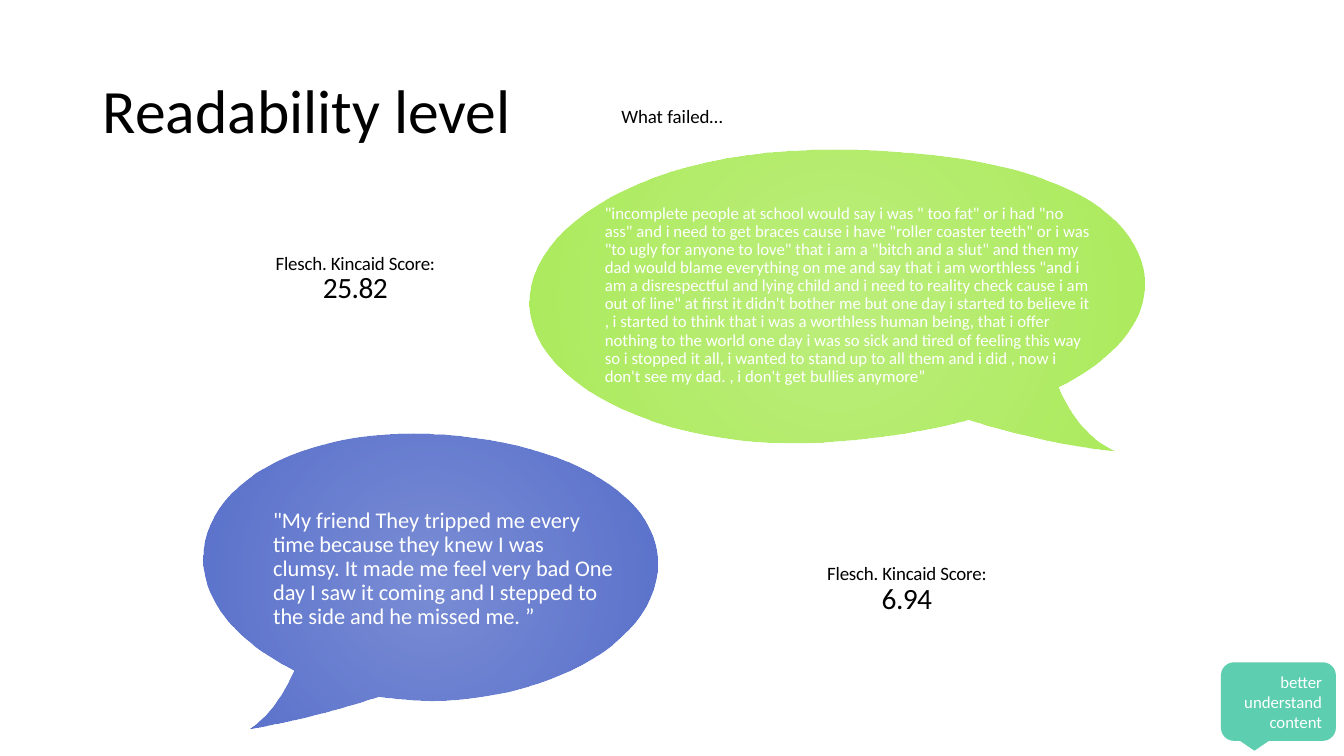
from dataclasses import dataclass

from lxml import etree
from pptx import Presentation
from pptx.dml.color import RGBColor
from pptx.enum.shapes import MSO_SHAPE
from pptx.enum.text import MSO_ANCHOR, PP_ALIGN
from pptx.oxml import parse_xml
from pptx.oxml.ns import nsdecls
from pptx.util import Pt

PX = 9144  # 100 px to the inch
CURVE_STEPS = 24
FONT = "Calibri"
BLACK = RGBColor(0x00, 0x00, 0x00)
WHITE = RGBColor(0xFF, 0xFF, 0xFF)
BLUE = RGBColor(0x4E, 0x67, 0xC8)
GREEN = RGBColor(0xA7, 0xEA, 0x52)
TEAL = RGBColor(0x5D, 0xCE, 0xAF)
LEFT, CENTER, RIGHT = PP_ALIGN.LEFT, PP_ALIGN.CENTER, PP_ALIGN.RIGHT
TOP, MIDDLE, BOTTOM = MSO_ANCHOR.TOP, MSO_ANCHOR.MIDDLE, MSO_ANCHOR.BOTTOM
CALLOUT = MSO_SHAPE.ROUNDED_RECTANGULAR_CALLOUT

Point = tuple[float, float]
Box = tuple[int, int, int, int]


@dataclass(frozen=True)
class Line:
    text: str
    size: float
    tracking: int = 0  # hundredths of a point


@dataclass(frozen=True)
class Label:
    box: Box
    lines: tuple[Line, ...]
    color: RGBColor = BLACK
    align: PP_ALIGN = LEFT
    anchor: MSO_ANCHOR = TOP
    spacing: float = 0.9
    inset: bool = True


@dataclass(frozen=True)
class Bubble:
    """A speech bubble outlined by cubic curves: two handles and an end each."""
    start: Point
    curves: tuple[tuple[Point, Point, Point], ...]
    color: RGBColor
    quote: Label


def score(left: int, top: int, value: str) -> Label:
    lines = (Line("Flesch. Kincaid Score:", 13.5, -10), Line(value, 21, -40))
    return Label((left, top, 285, 69), lines, align=CENTER, anchor=MIDDLE,
                 spacing=0.86, inset=False)


HEADINGS = (
    Label((92, 40, 1150, 145), (Line("Readability level", 44),), anchor=MIDDLE),
    Label((100, 102, 1133, 44), (Line("What failed…", 13.5),), align=CENTER, spacing=0.86),
)
SCORES = (score(210, 243, "25.82"), score(757, 551, "6.94"))

BUBBLES = (
    Bubble(
        (292, 665),
        (
            ((238, 638), (202, 598), (202, 555)),
            ((200, 482), (296, 425), (426, 430)),
            ((549, 435), (651, 485), (652, 558)),
            ((653, 631), (554, 692), (431, 695)),
            ((412, 695), (394, 693), (375, 691)),
            ((345, 701), (296, 715), (248, 723)),
            ((268, 709), (282, 687), (292, 665)),
        ),
        BLUE,
        Label((261, 500, 358, 131), (Line(
            '"My friend They tripped me every time because they knew I was clumsy. '
            "It made me feel very bad One day I saw it coming and I stepped to the "
            "side and he missed me. ”", 16),), WHITE),
    ),
    Bubble(
        (1049, 384),
        (
            ((1114, 351), (1142, 308), (1133, 266)),
            ((1117, 199), (1024, 150), (826, 148)),
            ((642, 147), (522, 224), (525, 303)),
            ((528, 384), (669, 453), (837, 437)),
            ((883, 433), (924, 426), (960, 416)),
            ((1005, 430), (1063, 444), (1105, 447)),
            ((1076, 434), (1059, 407), (1049, 384)),
        ),
        GREEN,
        Label((590, 198, 504, 192), (Line(
            '"incomplete people at school would say i was " too fat" or i had "no ass" '
            'and i need to get braces cause i have "roller coaster teeth" or i was "to '
            'ugly for anyone to love" that i am a "bitch and a slut" and then my dad '
            'would blame everything on me and say that i am worthless "and i am a '
            "disrespectful and lying child and i need to reality check cause i am out "
            "of line\" at first it didn't bother me but one day i started to believe "
            "it , i started to think that i was a worthless human being, that i offer "
            "nothing to the world one day i was so sick and tired of feeling this way "
            "so i stopped it all, i wanted to stand up to all them and i did , now i "
            "don't see my dad. , i don't get bullies anymore”", 12),), WHITE),
    ),
)

TAG = Label((1211, 657, 114, 78), (Line("better understand content", 12),), WHITE,
            RIGHT, BOTTOM, spacing=1.0)


def emu(box: Box) -> list[int]:
    return [v * PX for v in box]


def write(s, label: Label) -> None:
    tf = s.text_frame
    tf.word_wrap = True
    tf.vertical_anchor = label.anchor
    if not label.inset:
        tf.margin_left = tf.margin_top = tf.margin_right = tf.margin_bottom = 0
    tf.text = "\n".join(line.text for line in label.lines)
    for p, line in zip(tf.paragraphs, label.lines):
        p.alignment = label.align
        p.line_spacing = label.spacing
        r = p.runs[0]
        r.font.name = FONT
        r.font.size = Pt(line.size)
        r.font.color.rgb = label.color
        if line.tracking:
            r._r.get_or_add_rPr().set("spc", str(line.tracking))


def add_label(slide, label: Label) -> None:
    write(slide.shapes.add_textbox(*emu(label.box)), label)


def curve_points(p0: Point, p1: Point, p2: Point, p3: Point) -> list[Point]:
    """Sample a cubic curve, leaving out its first point."""
    points = []
    for i in range(1, CURVE_STEPS + 1):
        t = i / CURVE_STEPS
        u = 1 - t
        weights = (u ** 3, 3 * u * u * t, 3 * u * t * t, t ** 3)
        x, y = (sum(w * p[axis] for w, p in zip(weights, (p0, p1, p2, p3)))
                for axis in (0, 1))
        points.append((x * PX, y * PX))
    return points


def radial_fill(s, color: RGBColor) -> None:
    """Fill from a lighter, more transparent centre to a stronger edge."""
    s.fill.background()
    stops = "".join(
        f'<a:gs pos="{pos}"><a:srgbClr val="{color}"><a:alpha val="{alpha}"/></a:srgbClr></a:gs>'
        for pos, alpha in ((0, 75000), (100000, 95000)))
    gradient = parse_xml(
        f'<a:gradFill {nsdecls("a")} rotWithShape="1"><a:gsLst>{stops}</a:gsLst>'
        '<a:path path="circle"><a:fillToRect l="50000" t="50000" r="50000" b="50000"/>'
        "</a:path></a:gradFill>")
    spPr = s._element.spPr
    no_fill = next(el for el in spPr if etree.QName(el).localname == "noFill")
    spPr.replace(no_fill, gradient)


def add_bubble(slide, bubble: Bubble) -> None:
    here = bubble.start
    outline = slide.shapes.build_freeform(here[0] * PX, here[1] * PX)
    for curve in bubble.curves:
        outline.add_line_segments(curve_points(here, *curve), close=False)
        here = curve[-1]
    outline.add_line_segments([], close=True)
    s = outline.convert_to_shape()
    s.shadow.inherit = False
    s.line.fill.background()
    radial_fill(s, bubble.color)
    add_label(slide, bubble.quote)


def add_tag(slide, label: Label) -> None:
    s = slide.shapes.add_shape(CALLOUT, *emu(label.box))
    s.shadow.inherit = False
    s.fill.solid()
    s.fill.fore_color.rgb = TEAL
    s.line.fill.background()
    write(s, label)


def main() -> None:
    prs = Presentation()
    prs.slide_width, prs.slide_height = 1333 * PX, 750 * PX
    slide = prs.slides.add_slide(prs.slide_layouts[6])
    for heading in HEADINGS:
        add_label(slide, heading)
    for bubble in BUBBLES:
        add_bubble(slide, bubble)
    for label in SCORES:
        add_label(slide, label)
    add_tag(slide, TAG)
    prs.save("out.pptx")


if __name__ == "__main__":
    main()
